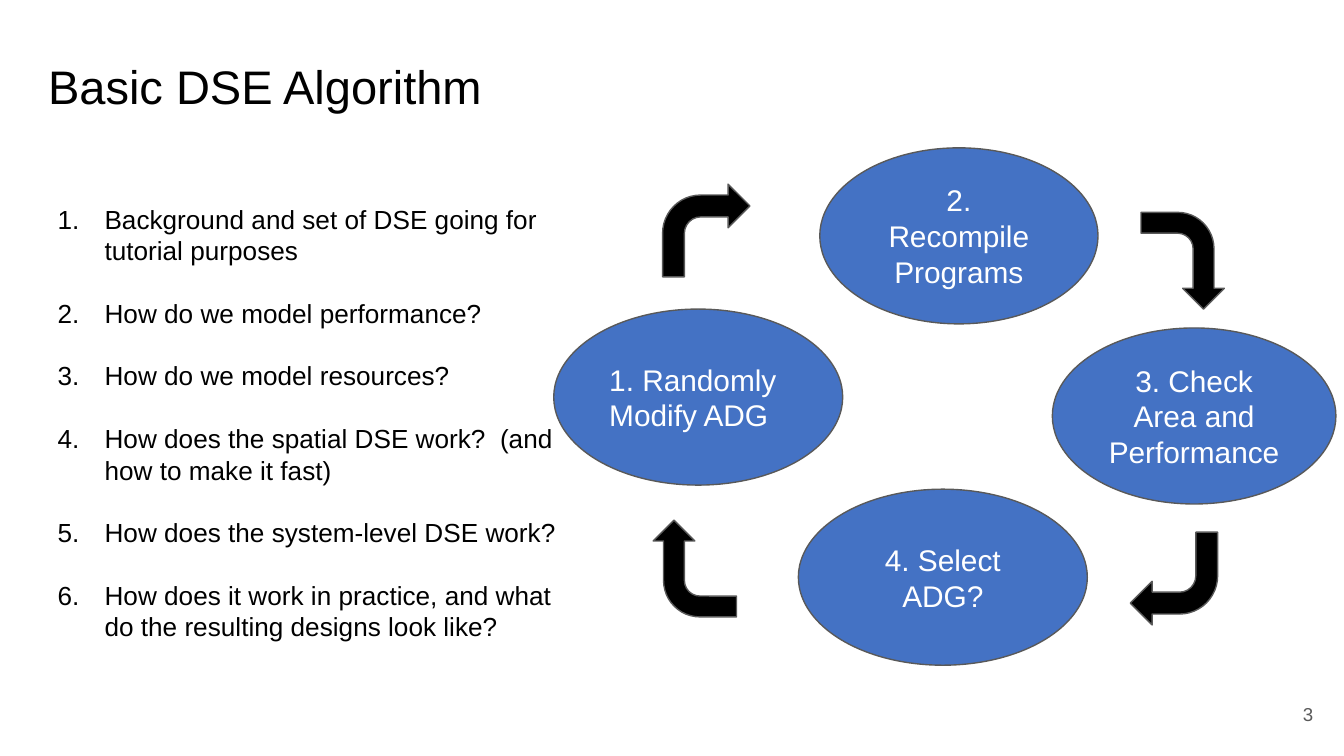
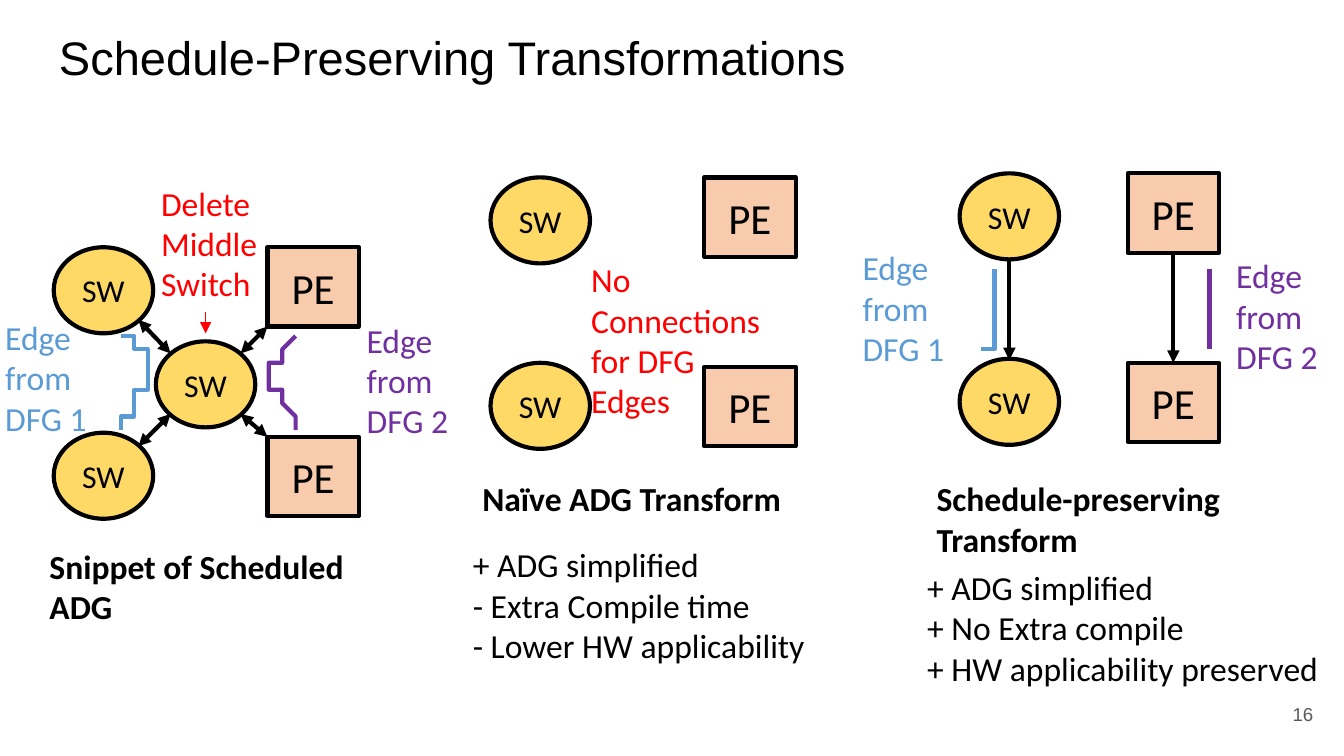
from lxml import etree
from pptx import Presentation
from pptx.dml.color import RGBColor
from pptx.enum.shapes import MSO_CONNECTOR, MSO_SHAPE
from pptx.enum.text import MSO_ANCHOR, PP_ALIGN
from pptx.oxml.ns import qn
from pptx.util import Inches, Pt

OVAL, RECTANGLE, BENT_ARROW = MSO_SHAPE.OVAL, MSO_SHAPE.RECTANGLE, MSO_SHAPE.BENT_ARROW
STRAIGHT = MSO_CONNECTOR.STRAIGHT
LEFT, CENTER, RIGHT = PP_ALIGN.LEFT, PP_ALIGN.CENTER, PP_ALIGN.RIGHT
TOP, MIDDLE = MSO_ANCHOR.TOP, MSO_ANCHOR.MIDDLE

BLACK, WHITE, GRAY, RED = "000000", "FFFFFF", "595959", "FF0000"
STEP_BLUE, EDGE_BLUE, EDGE_PURPLE = "4472C4", "5B9BD5", "7030A0"
SWITCH_YELLOW, PE_PEACH = "FFD966", "F8CBAD"
CELL = Inches(0.1)  # the slide is a grid of 100 columns by 56.2 rows
rgb = RGBColor.from_string


def add_box(page, kind, place, lines=(), size=18, color=BLACK, font="Calibri", bold=False,
            align=LEFT, anchor=TOP, inset=0.5, fill=None, line=None, width=2.25):
    """Add a preset shape, or a text box when kind is None; place is in grid cells."""
    place = [round(CELL * n) for n in place]
    if kind is None:
        box = page.shapes.add_textbox(*place)
    else:
        box = page.shapes.add_shape(kind, *place)
        box.shadow.inherit = False
        box.fill.solid()
        box.fill.fore_color.rgb = rgb(fill)
        box.line.color.rgb = rgb(line)
        box.line.width = Pt(width)
    frame = box.text_frame
    frame.word_wrap = True
    frame.vertical_anchor = anchor
    frame.margin_left = frame.margin_right = CELL
    frame.margin_top = frame.margin_bottom = round(CELL * inset)
    for index, text in enumerate(lines):
        para = frame.paragraphs[0] if index == 0 else frame.add_paragraph()
        para.text = text
        para.alignment = align
        para.font.name, para.font.size, para.font.bold = font, Pt(size), bold
        para.font.color.rgb = rgb(color)
    return box


def add_arrow(page, start, end, color=BLACK, width=2.25, ends=("tailEnd",)):
    points = [round(CELL * n) for n in (*start, *end)]
    arrow = page.shapes.add_connector(STRAIGHT, *points)
    arrow.line.color.rgb = rgb(color)
    arrow.line.width = Pt(width)
    line = arrow.line._get_or_add_ln()
    for name in ends:
        etree.SubElement(line, qn("a:" + name), type="triangle")
    etree.SubElement(arrow._element.spPr, qn("a:effectLst"))
    return arrow


deck = Presentation()
deck.slide_width, deck.slide_height = Inches(10), Inches(5.625)

pages = []
for title, place, number in [
    ("Basic DSE Algorithm", (2.6, 3.3, 39.7, 6.3), "3"),
    ("Schedule-Preserving Transformations", (3.4, 1.1, 93.2, 6.3), "16"),
]:
    page = deck.slides.add_slide(deck.slide_layouts[6])
    add_box(page, None, place, [title], 25.2, font="Arial", inset=1)
    add_box(page, None, (92.7, 51, 6, 4.3), [number], 10, GRAY, "Arial",
            align=RIGHT, anchor=MIDDLE, inset=1)
    pages.append(page)
cycle_page, transform_page = pages

# Slide 1: the cycle of steps and the agenda
for text, left, top, width, align in [
    ("1. Randomly Modify ADG", 41.2, 23, 21.5, LEFT),
    ("2. Recompile Programs", 61, 11, 20.7, CENTER),
    ("3. Check Area and Performance", 78.3, 24.4, 21.1, CENTER),
    ("4. Select ADG?", 59.4, 36.4, 21.5, CENTER),
]:
    add_box(cycle_page, OVAL, (left, top, width, 13.1), [text], 16, WHITE, "Arial",
            align=align, anchor=MIDDLE, inset=1, fill=STEP_BLUE, line=GRAY, width=0.75)

for quarter, place in enumerate([
    (49.3, 13.7, 6.5, 6.9), (84.4, 16.3, 7.2, 6.2),
    (84.1, 39.6, 6.5, 6.9), (48.1, 39.2, 7.2, 6.2),
]):
    turn = add_box(cycle_page, BENT_ARROW, place, fill=BLACK, line=GRAY, width=0.75)
    turn.rotation = 90 * quarter

agenda = add_box(cycle_page, None, (1.8, 14.1, 41.3, 37.7), [
    "Background and set of DSE going for tutorial purposes",
    "How do we model performance?",
    "How do we model resources?",
    "How does the spatial DSE work?  (and how to make it fast)",
    "How does the system-level DSE work?",
    "How does it work in practice, and what do the resulting designs look like?",
], 14, font="Arial", inset=1)
for para in agenda.text_frame.paragraphs:
    para.space_after = Pt(16.8)
    properties = para._p.get_or_add_pPr()
    properties.set("marL", str(Inches(0.5)))
    properties.set("indent", str(-Inches(0.35)))
    etree.SubElement(properties, qn("a:buAutoNum"), type="arabicPeriod")

# Slide 2: three graphs, each with two switches (SW) and two processing elements (PE)
switch_style = dict(lines=["SW"], size=17, fill=SWITCH_YELLOW)
element_style = dict(lines=["PE"], size=23, fill=PE_PEACH)
node_style = dict(align=CENTER, anchor=MIDDLE, line=BLACK)

for start, end in [
    ((12.7, 26.3), (10.3, 23.8)), ((10.3, 33.2), (12.7, 30.8)),
    ((19.9, 32.5), (17.9, 30.8)), ((17.9, 26.3), (19.9, 24.3)),
]:
    add_arrow(transform_page, start, end, ends=("headEnd", "tailEnd"))

for switch_left, element_left, top in [(4, 19.9, 18.4), (36.5, 52.4, 13.2), (71.4, 83.9, 12.9)]:
    elements = []
    for row in range(2):
        add_box(transform_page, OVAL, (switch_left, top + 13.8 * row, 7.4, 6.4),
                **switch_style, **node_style)
        elements.append(add_box(transform_page, RECTANGLE,
                                (element_left, top + 14.1 * row, 6.8, 5.9),
                                **element_style, **node_style))
add_box(transform_page, OVAL, (11.6, 25.4, 7.4, 6.4), **switch_style, **node_style)

# Direct links of the last graph, and the pointer to the deleted switch
add_arrow(transform_page, (75.1, 19.3), (75.1, 26.8))
element_link = add_arrow(transform_page, (87.3, 18.8), (87.3, 27))
element_link.begin_connect(elements[0], 2)
element_link.end_connect(elements[1], 0)
add_arrow(transform_page, (15.3, 23.2), (15.3, 24.8), RED, 0.75)

# Data-flow edges: two joined cubic curves each
for color, knots in [
    (EDGE_BLUE, [(9.4, 25), (10.3, 25.8), (11.1, 26.5), (11, 27.7),
                 (10.9, 28.8), (8.9, 31.7), (8.9, 31.7)]),
    (EDGE_PURPLE, [(21.8, 25.3), (21, 26), (20.3, 26.8), (20.3, 27.9),
                   (20.4, 29), (22.3, 31.9), (22.3, 31.9)]),
    (EDGE_BLUE, [(73.6, 19.7), (73.9, 20.5), (74.2, 21.2), (74.2, 22.3),
                 (74.1, 23.5), (73.4, 26.4), (73.4, 26.4)]),
    (EDGE_PURPLE, [(90.1, 19.8), (89.9, 20.6), (89.8, 21.4), (89.8, 22.5),
                   (89.8, 23.6), (90.2, 26.5), (90.2, 26.5)]),
]:
    points = [knots[0]]
    for first in (0, 3):
        for step in range(1, 13):
            t = step / 12
            weights = ((1 - t) ** 3, 3 * t * (1 - t) ** 2, 3 * t * t * (1 - t), t ** 3)
            points.append([sum(w * knot[axis] for w, knot in zip(weights, knots[first:first + 4]))
                           for axis in (0, 1)])
    outline = transform_page.shapes.build_freeform(*points[0], scale=CELL)
    outline.add_line_segments(points[1:], close=False)
    curve = outline.convert_to_shape()
    curve.shadow.inherit = False
    curve.fill.background()
    curve.line.color.rgb = rgb(color)
    curve.line.width = Pt(2.25)

for place, lines, color in [
    ((-0.6, 23.1, 8.9, 10.1), ["Edge from", "DFG 1"], EDGE_BLUE),
    ((26.3, 23.3, 10.3, 10.1), ["Edge from", "DFG 2"], EDGE_PURPLE),
    ((63.2, 17.9, 10.3, 10.1), ["Edge from", "DFG 1"], EDGE_BLUE),
    ((91, 18.5, 10.3, 10.1), ["Edge from", "DFG 2"], EDGE_PURPLE),
    ((11, 13.1, 9.9, 10.1), ["Delete Middle Switch"], RED),
    ((43, 18.8, 15.5, 13.1), ["No Connections for DFG Edges"], RED),
    ((34.2, 40, 33.2, 10.1),
     ["+ ADG simplified", "- Extra Compile time", "- Lower HW applicability"], BLACK),
    ((68, 41.7, 33.2, 10.1),
     ["+ ADG simplified", "+ No Extra compile", "+ HW applicability preserved"], BLACK),
]:
    add_box(transform_page, None, place, lines, color=color)

for place, caption in [
    ((2.7, 40.1, 24.6, 7.1), "Snippet of Scheduled ADG"),
    ((34.9, 35.1, 28.6, 4), "Naïve ADG Transform"),
    ((68.7, 35.1, 31.3, 7.1), "Schedule-preserving Transform"),
]:
    add_box(transform_page, None, place, [caption], bold=True)

deck.save("out.pptx")
